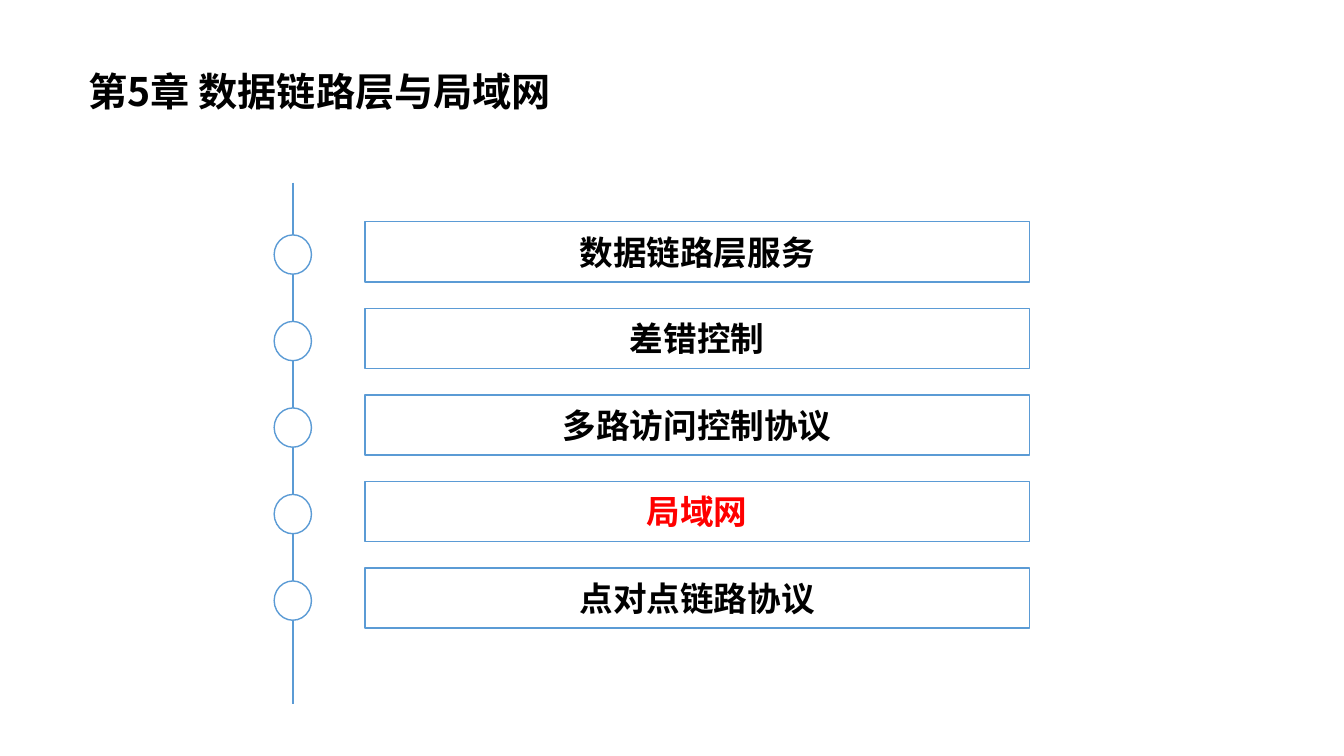
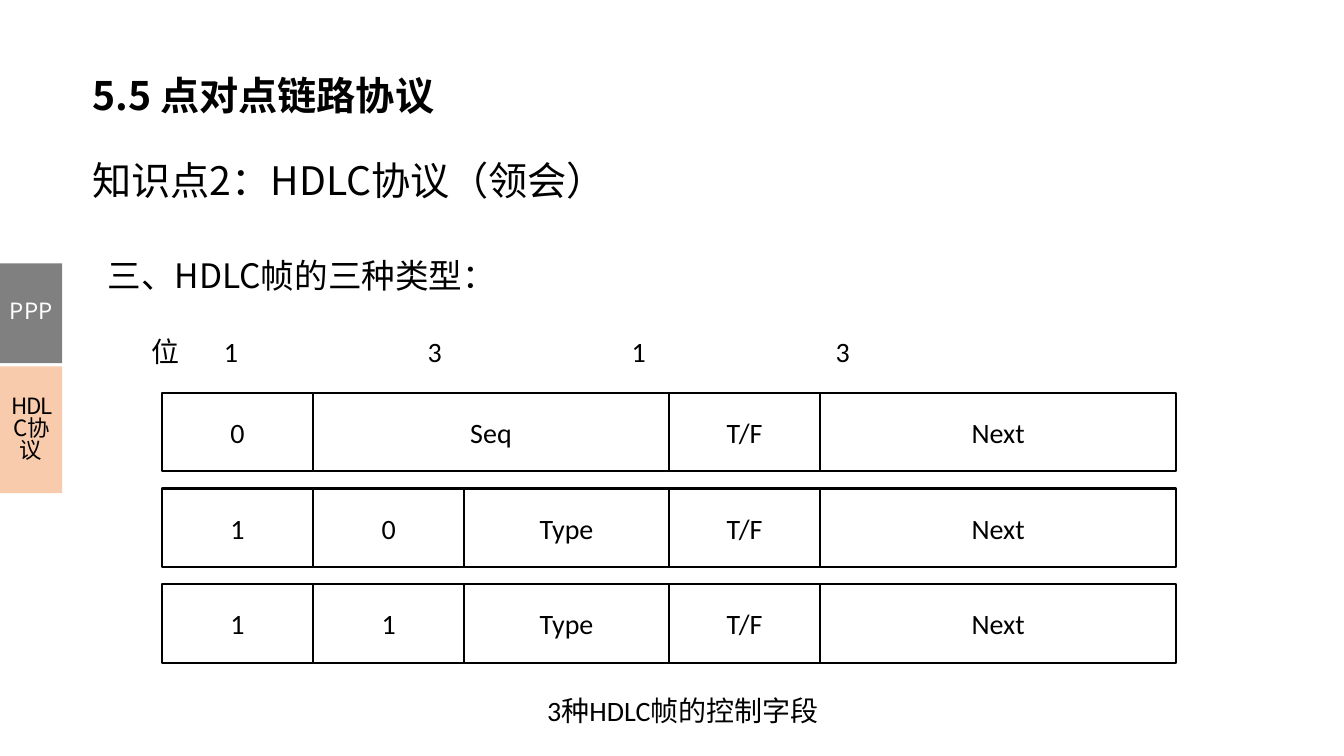
from dataclasses import dataclass
from itertools import accumulate
from typing import Optional

from lxml.etree import SubElement
from pptx import Presentation
from pptx.dml.color import RGBColor
from pptx.enum.shapes import MSO_CONNECTOR, MSO_SHAPE
from pptx.enum.text import MSO_ANCHOR as Anchor, PP_ALIGN as Align
from pptx.oxml.ns import qn
from pptx.util import Cm, Pt

COLORS = {
    "black": "000000",
    "white": "FFFFFF",
    "red": "FF0000",
    "blue": "5B9BD5",
    "gray": "808080",
    "peach": "F8CBAD",
}
CJK_FONT = "Noto Sans CJK SC"
LATIN_FONT = "Calibri"


@dataclass(frozen=True)
class Box:
    """Place of an element, in centimetres."""
    left: float
    top: float
    width: float
    height: float

    def lengths(self) -> tuple:
        return Cm(self.left), Cm(self.top), Cm(self.width), Cm(self.height)


@dataclass(frozen=True)
class TextStyle:
    size: float
    font: str = CJK_FONT
    color: str = "black"
    bold: bool = False
    align: Align = Align.LEFT
    anchor: Anchor = Anchor.TOP
    line_spacing: object = None
    tracking: int = 0  # hundredths of a point


@dataclass(frozen=True)
class Chapter:
    name: str
    color: str = "black"


@dataclass(frozen=True)
class SideTab:
    label: str
    box: Box
    fill: str
    style: TextStyle


TITLE = TextStyle(28, bold=True, anchor=Anchor.MIDDLE)
TOPIC = TextStyle(28, anchor=Anchor.MIDDLE, line_spacing=1.5)
SUBHEADING = TextStyle(24)
CAPTION = TextStyle(20, LATIN_FONT)
FIELD = TextStyle(20, LATIN_FONT, align=Align.CENTER, anchor=Anchor.MIDDLE)

CHAPTERS = [
    Chapter("数据链路层服务"),
    Chapter("差错控制"),
    Chapter("多路访问控制协议"),
    Chapter("局域网", "red"),
    Chapter("点对点链路协议"),
]
CHAPTER_TOP, CHAPTER_STEP = 5.59, 2.18

# Each frame lists its fields with the number of columns they span
FRAMES = [
    [("0", 1), ("Seq", 2), ("T/F", 1), ("Next", 1)],
    [("1", 1), ("0", 1), ("Type", 1), ("T/F", 1), ("Next", 1)],
    [("1", 1), ("1", 1), ("Type", 1), ("T/F", 1), ("Next", 1)],
]
COLUMN_WIDTHS = [3.81, 3.81, 5.16, 3.81, 8.97]
COLUMN_EDGES = list(accumulate(COLUMN_WIDTHS, initial=4.08))
FRAME_TOP, FRAME_STEP, FRAME_HEIGHT = 9.9, 2.41, 1.98

BIT_COUNTS = ["1", "3", "1", "3"]
FIRST_TAB, TAB_STEP = 1.83, 5.14


def tab_style(color: str, tracking: int = 0) -> TextStyle:
    return TextStyle(16, color=color, align=Align.CENTER, anchor=Anchor.MIDDLE,
                     line_spacing=Pt(16), tracking=tracking)


SIDE_TABS = [
    SideTab("PPP", Box(0, 6.64, 1.57, 2.51), "gray", tab_style("white")),
    SideTab("HDLC协议", Box(0, 9.23, 1.57, 3.2), "peach", tab_style("black", -100)),
]


def rgb(name: str) -> RGBColor:
    return RGBColor.from_string(COLORS[name])


def write(shape, text: str, style: TextStyle, tab_stops: tuple = ()) -> None:
    """Put one styled paragraph into a shape."""
    frame = shape.text_frame
    frame.word_wrap = True
    frame.vertical_anchor = style.anchor
    paragraph = frame.paragraphs[0]
    paragraph.alignment = style.align
    if style.line_spacing is not None:
        paragraph.line_spacing = style.line_spacing
    if tab_stops:
        tab_list = SubElement(paragraph._p.get_or_add_pPr(), qn("a:tabLst"))
        for stop in tab_stops:
            SubElement(tab_list, qn("a:tab"), pos=str(Cm(stop)), algn="l")
    run = paragraph.add_run()
    run.text = text
    run.font.size = Pt(style.size)
    run.font.bold = style.bold
    run.font.color.rgb = rgb(style.color)
    run.font.name = style.font
    properties = run.font._element
    SubElement(properties, qn("a:ea"), typeface=CJK_FONT)
    if style.tracking:
        properties.set("spc", str(style.tracking))


def add_text(slide, box: Box, text: str, style: TextStyle,
             tab_stops: tuple = ()) -> None:
    write(slide.shapes.add_textbox(*box.lengths()), text, style, tab_stops)


def add_figure(slide, preset: MSO_SHAPE, box: Box, fill: Optional[str] = None,
               line: Optional[str] = None, line_width: float = 1):
    shape = slide.shapes.add_shape(preset, *box.lengths())
    shape.shadow.inherit = False
    if fill:
        shape.fill.solid()
        shape.fill.fore_color.rgb = rgb(fill)
    else:
        shape.fill.background()
    if line:
        shape.line.color.rgb = rgb(line)
        shape.line.width = Pt(line_width)
    else:
        shape.line.fill.background()
    return shape


def add_timeline(slide) -> None:
    line = slide.shapes.add_connector(
        MSO_CONNECTOR.STRAIGHT, Cm(7.38), Cm(4.6), Cm(7.38), Cm(17.75))
    line.line.color.rgb = rgb("blue")
    line.line.width = Pt(1)
    SubElement(line._element.spPr, qn("a:effectLst"))


def build_outline(slide) -> None:
    add_text(slide, Box(1.98, 1.22, 20, 2.16), "第5章 数据链路层与局域网", TITLE)
    add_timeline(slide)
    for index, chapter in enumerate(CHAPTERS):
        top = CHAPTER_TOP + index * CHAPTER_STEP
        add_figure(slide, MSO_SHAPE.OVAL, Box(6.91, top + 0.33, 0.94, 0.99),
                   "white", "blue")
        bar = add_figure(slide, MSO_SHAPE.RECTANGLE, Box(9.2, top, 16.74, 1.52),
                         "white", "blue")
        write(bar, chapter.name,
              TextStyle(24, color=chapter.color, bold=True, align=Align.CENTER,
                        anchor=Anchor.MIDDLE))


def build_frame_types(slide) -> None:
    # Headings
    add_text(slide, Box(2.08, 1.65, 24.5, 1.5), "5.5 点对点链路协议", TITLE)
    add_text(slide, Box(2.08, 2.92, 30.8, 2.64), "知识点2：HDLC协议（领会）", TOPIC)
    add_text(slide, Box(2.46, 6.3, 24.8, 1.27), "三、HDLC帧的三种类型：", SUBHEADING)

    # Bit counts above the frames
    stops = tuple(FIRST_TAB + index * TAB_STEP for index in range(len(BIT_COUNTS)))
    add_text(slide, Box(3.56, 8.31, 27.08, 1.12), "\t".join(["位", *BIT_COUNTS]),
             CAPTION, stops)

    # Control fields of the three frames
    for row, fields in enumerate(FRAMES):
        column = 0
        for label, span in fields:
            left, right = COLUMN_EDGES[column], COLUMN_EDGES[column + span]
            box = Box(left, FRAME_TOP + row * FRAME_STEP, right - left, FRAME_HEIGHT)
            cell = add_figure(slide, MSO_SHAPE.RECTANGLE, box,
                              line="black", line_width=1.5)
            write(cell, label, FIELD)
            column += span
    add_text(slide, Box(13.54, 17.35, 11.84, 1.12), "3种HDLC帧的控制字段", CAPTION)

    # Section tabs on the left edge
    for tab in SIDE_TABS:
        write(add_figure(slide, MSO_SHAPE.RECTANGLE, tab.box, tab.fill),
              tab.label, tab.style)


def main() -> None:
    presentation = Presentation()
    presentation.slide_width = Cm(33.87)
    presentation.slide_height = Cm(19.05)
    blank = presentation.slide_layouts[6]
    for build in (build_outline, build_frame_types):
        build(presentation.slides.add_slide(blank))
    presentation.save("out.pptx")


if __name__ == "__main__":
    main()
